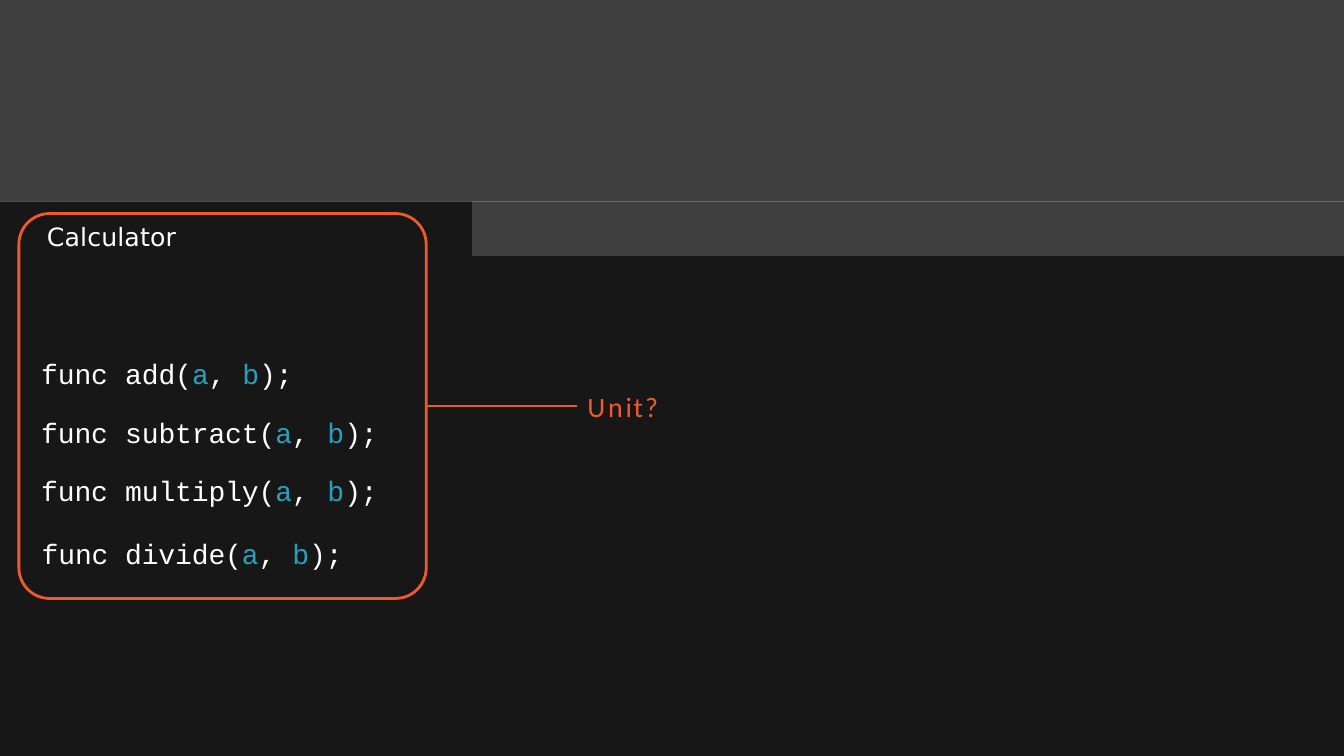
from pptx import Presentation
from pptx import util as u
from pptx.dml.color import RGBColor
from pptx.enum import shapes, text
from pptx.oxml.ns import qn
from lxml import etree

Pt = u.Pt
WIDE, HIGH = 960, 540
GREY, DARK, WHITE, TEAL, RUST = "404040", "171717", "FFFFFF", "2A9FBC", "F05A28"
CODE = "Courier New"
PLAIN = "{2D5ABB26-0587-4C30-8999-92F81FD0307C}"


def hue(code):
    return RGBColor.from_string(code)


def paint(shape, fill):
    shape.shadow.inherit = False
    shape.fill.solid()
    shape.fill.fore_color.rgb = hue(fill)
    shape.line.fill.background()


def write(para, parts, face, size, indent, before):
    para.space_before = Pt(before)
    para._p.get_or_add_pPr().set("marL", str(Pt(indent)))
    for word, tint, gap in parts:
        run = para.add_run()
        run.text = word
        run.font.name = face
        run.font.size = Pt(size)
        run.font.color.rgb = hue(tint)
        run._r.get_or_add_rPr().set("spc", str(round(gap * 100)))


def code(words):
    return [(word, TEAL if word in ("a", "b") else WHITE, -0.1) for word in words]


def label(slide, box, parts, face, size):
    frame = slide.shapes.add_textbox(*map(Pt, box)).text_frame
    frame.word_wrap = True
    frame.margin_left = frame.margin_right = frame.margin_bottom = 0
    frame.margin_top = Pt(1)
    write(frame.paragraphs[0], parts, face, size, 1, 1)


def ground(slide, box, head, strip, tab):
    left, top, width, height = box
    for y, tall in ((top, head), (top + head, strip)):
        band = slide.shapes.add_shape(
            shapes.MSO_SHAPE.RECTANGLE, Pt(left), Pt(y), Pt(width), Pt(tall))
        paint(band, GREY)
    edge, base, step = left + width, top + height, top + head + strip
    path = slide.shapes.build_freeform(edge, step, scale=Pt(1))
    path.add_line_segments(
        [(tab, step), (tab, top + head), (left, top + head), (left, base), (edge, base)])
    paint(path.convert_to_shape(), DARK)


def grid(slide, box):
    wides, talls = (56, 144, 45), (34, 42, 34)
    rows = [
        [["func"], ["add(", "a", ", ", "b", ");"], []],
        [["func"], ["subtract(", "a", ","], ["b", ");"]],
        [["func"], ["multiply(", "a", ","], ["b", ");"]],
    ]
    table = slide.shapes.add_table(len(rows), len(wides), *map(Pt, box)).table
    table.first_row = table.horz_banding = False
    table._tbl.tblPr.find(qn("a:tableStyleId")).text = PLAIN
    for col, wide in zip(table.columns, wides):
        col.width = Pt(wide)
    for i, (row, tall) in enumerate(zip(rows, talls)):
        table.rows[i].height = Pt(tall)
        for j, words in enumerate(row):
            cell = table.cell(i, j)
            cell.fill.solid()
            cell.fill.fore_color.rgb = hue(DARK)
            cell.margin_left = cell.margin_right = cell.margin_bottom = 0
            cell.margin_top = Pt(8.8 if i else 0.9)
            para = cell.text_frame.paragraphs[0]
            if j == 2:
                para.alignment = text.PP_ALIGN.CENTER
            write(para, code(words), CODE, 20, (2, 6, 4)[j], 8.8 if i else 0.9)


def panel(slide, box):
    left, top, width, height = box
    grid(slide, (left + 13.9, top + 104.5, 245, 110))
    label(slide, (left + 15.3, top + 229.8, 218, 26),
          code(["func divide(", "a", ", ", "b", ");"]), CODE, 20)
    label(slide, (left + 19, top + 4.5, 95, 24),
          [("Calculator", WHITE, 0.1)], "DejaVu Sans", 18)
    frame = slide.shapes.add_shape(
        shapes.MSO_SHAPE.ROUNDED_RECTANGLE, *map(Pt, box))
    frame.adjustments[0] = 0.08
    frame.shadow.inherit = False
    frame.fill.background()
    frame.line.color.rgb = hue(RUST)
    frame.line.width = Pt(2)
    return frame


def query(slide, box, frame):
    left, top, width, height = box
    mid = top + height / 2
    link = slide.shapes.add_connector(
        shapes.MSO_CONNECTOR.STRAIGHT, Pt(left), Pt(mid), Pt(left + 107.5), Pt(mid))
    link.begin_connect(frame, 3)
    link.line.color.rgb = hue(RUST)
    link.line.width = Pt(2)
    etree.SubElement(link._element.spPr, qn("a:effectLst"))
    label(slide, (left + 114, top, width - 114, height),
          [("Un", RUST, 2), ("i", RUST, 1.1), ("t", RUST, 1.5), ("?", RUST, 1.6)],
          "Calibri", 20)


def main():
    deck = Presentation()
    deck.slide_width, deck.slide_height = Pt(WIDE), Pt(HIGH)
    slide = deck.slides.add_slide(deck.slide_layouts[6])
    ground(slide, (0, 0, WIDE, HIGH), 144, 39, 337)
    frame = panel(slide, (13.5, 152.5, 291, 275))
    query(slide, (304.5, 277, 170, 26), frame)
    deck.save("out.pptx")


if __name__ == "__main__":
    main()
